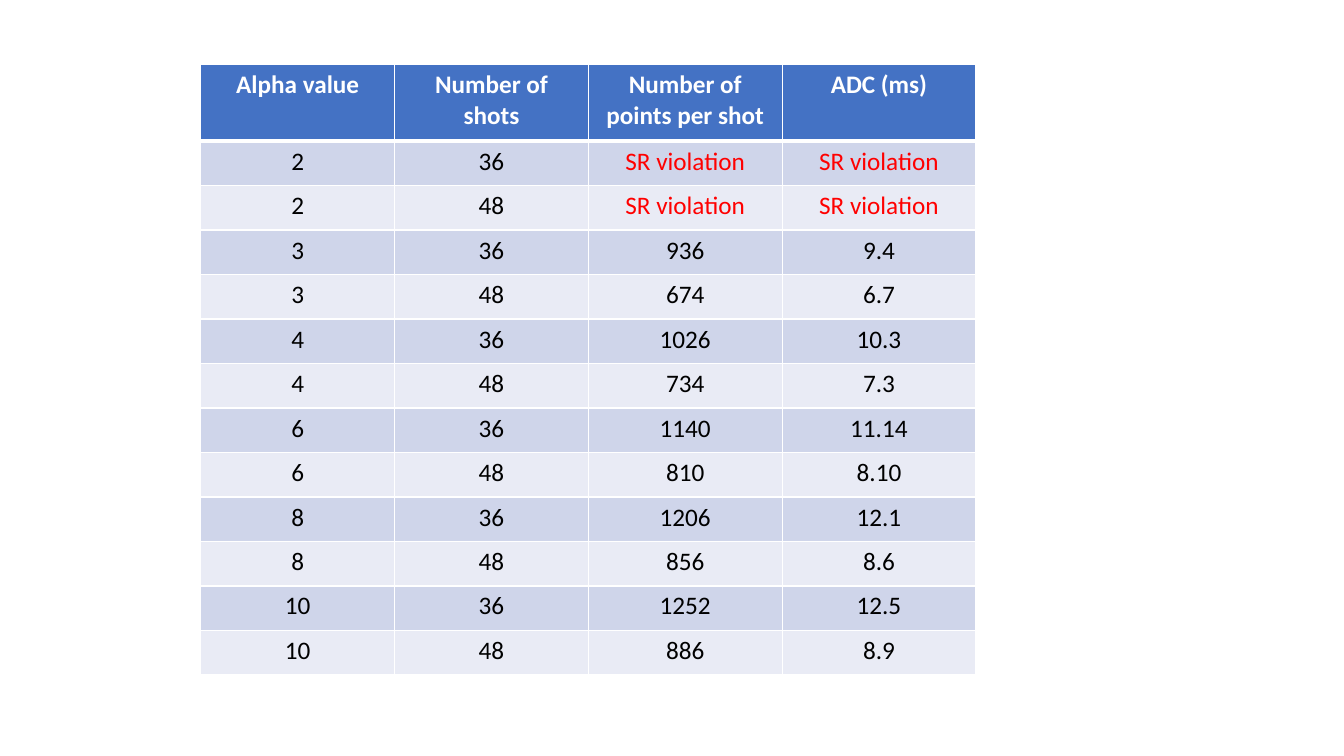
from lxml import etree
from pptx import Presentation
from pptx.dml.color import RGBColor
from pptx.enum.text import PP_ALIGN
from pptx.oxml.ns import qn
from pptx.util import Pt

CENTER = PP_ALIGN.CENTER
FONT = "Calibri"
WHITE, BLACK, RED = "FFFFFF", "000000", "FF0000"
HEADER_BLUE = "4472C4"
BANDS = ("CFD5EA", "E9EBF5")
HEADER_HEIGHT = 54.5
VIOLATION = "SR violation"
HEADINGS = ("Alpha value", "Number of shots", "Number of points per shot", "ADC (ms)")
MEASUREMENTS = (
    ("2", "36", VIOLATION, VIOLATION),
    ("2", "48", VIOLATION, VIOLATION),
    ("3", "36", "936", "9.4"),
    ("3", "48", "674", "6.7"),
    ("4", "36", "1026", "10.3"),
    ("4", "48", "734", "7.3"),
    ("6", "36", "1140", "11.14"),
    ("6", "48", "810", "8.10"),
    ("8", "36", "1206", "12.1"),
    ("8", "48", "856", "8.6"),
    ("10", "36", "1252", "12.5"),
    ("10", "48", "886", "8.9"),
)


def color(hex_code):
    """Turn a hex string into a colour."""
    return RGBColor.from_string(hex_code)


def set_borders(cell, top, bottom):
    """Draw white cell borders, with the given top and bottom widths in points."""
    properties = cell._tc.get_or_add_tcPr()
    for side, width in (("L", 1), ("R", 1), ("T", top), ("B", bottom)):
        border = etree.SubElement(properties, qn(f"a:ln{side}"), w=str(Pt(width)))
        solid = etree.SubElement(border, qn("a:solidFill"))
        etree.SubElement(solid, qn("a:srgbClr"), val=WHITE)


def write_cell(cell, text, row):
    """Write and style one cell according to its row and wording."""
    is_header = row == 0
    set_borders(cell, top=3 if row == 1 else 1, bottom=3 if is_header else 1)
    cell.fill.solid()
    cell.fill.fore_color.rgb = color(HEADER_BLUE if is_header else BANDS[(row - 1) % 2])
    paragraph = cell.text_frame.paragraphs[0]
    paragraph.text = text
    paragraph.alignment = CENTER
    font = paragraph.runs[0].font
    font.name, font.size, font.bold = FONT, Pt(18), is_header
    text_color = WHITE if is_header else RED if text == VIOLATION else BLACK
    font.color.rgb = color(text_color)


def add_measurement_table(slide, left, top, width, height):
    """Fill the given box with the table of shots and readout times."""
    rows = (HEADINGS, *MEASUREMENTS)
    table = slide.shapes.add_table(
        len(rows), len(HEADINGS), Pt(left), Pt(top), Pt(width), Pt(height)
    ).table
    for column in table.columns:
        column.width = Pt(width / len(HEADINGS))
    body_height = (height - HEADER_HEIGHT) / len(MEASUREMENTS)
    for row, texts in enumerate(rows):
        table.rows[row].height = Pt(body_height if row else HEADER_HEIGHT)
        for column, text in enumerate(texts):
            write_cell(table.cell(row, column), text, row)


def main():
    """Build the slide and save it."""
    presentation = Presentation()
    presentation.slide_width, presentation.slide_height = Pt(960), Pt(540)
    slide = presentation.slides.add_slide(presentation.slide_layouts[6])
    add_measurement_table(slide, left=143.5, top=46.3, width=553.6, height=436.1)
    presentation.save("out.pptx")


if __name__ == "__main__":
    main()
